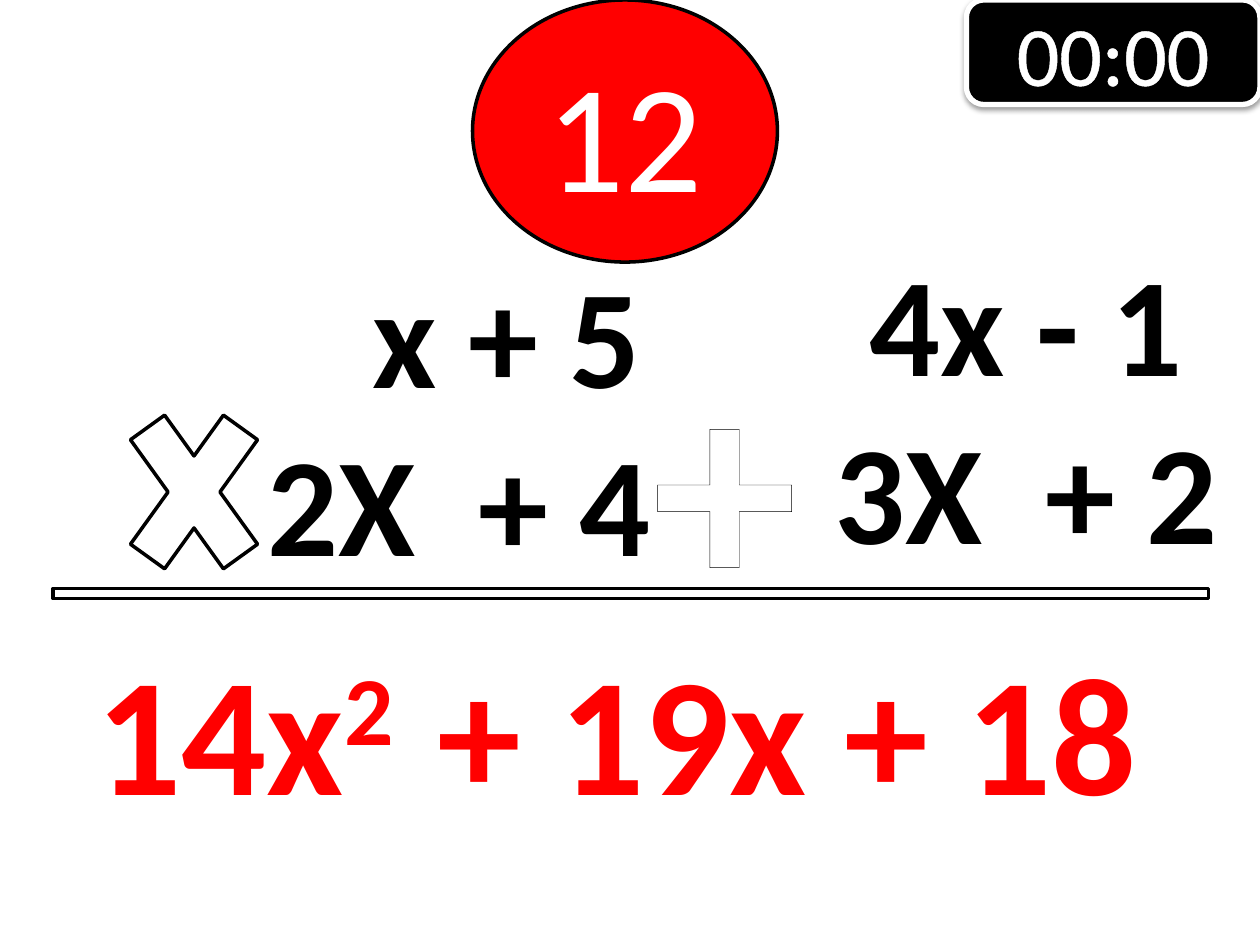
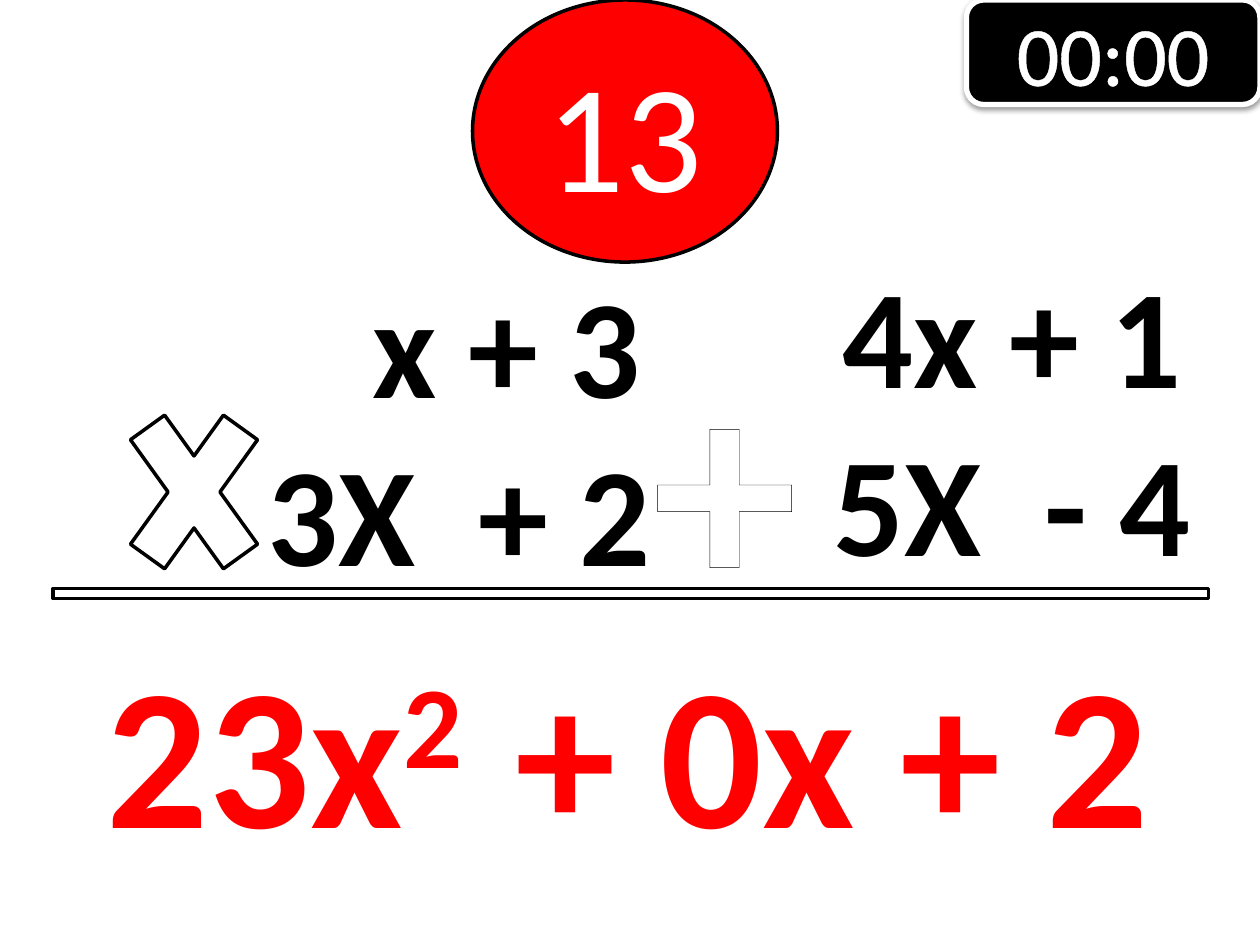
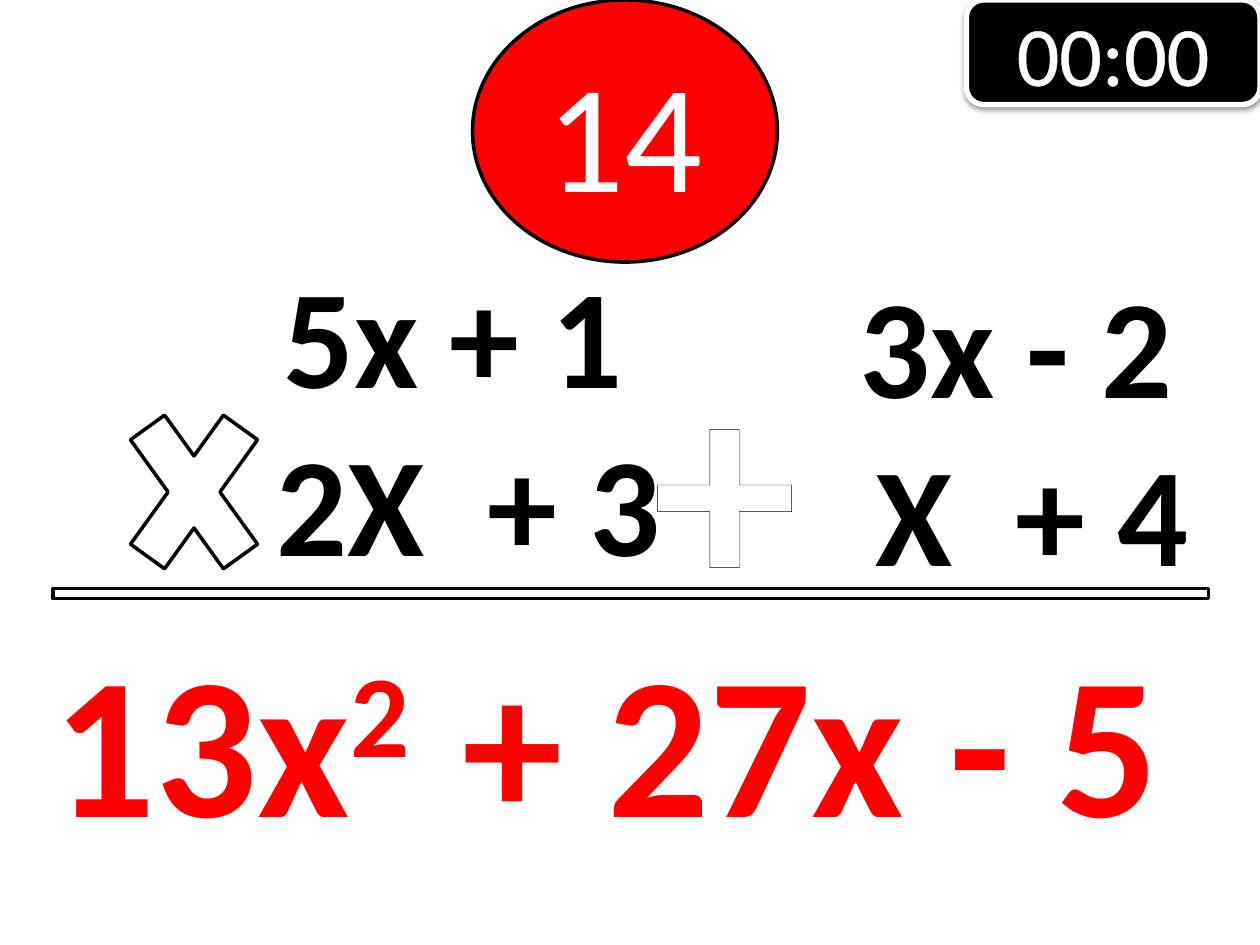
from dataclasses import dataclass

from lxml import etree
from pptx import Presentation
from pptx.dml.color import RGBColor
from pptx.enum import shapes, text
from pptx.oxml import ns
from pptx.util import Inches, Pt

BLACK, WHITE, RED = "000000", "FFFFFF", "FF0000"
FONT = "Calibri"
SPACE_WIDTH = 0.25
OUTLINE_WIDTH = Pt(1.45)


@dataclass(frozen=True)
class Box:
    left: float
    top: float
    width: float
    height: float

    def lengths(self) -> list:
        return [Inches(v) for v in (self.left, self.top, self.width, self.height)]


@dataclass(frozen=True)
class Style:
    size: float
    color: str
    bold: bool = False
    outline: str = ""


@dataclass(frozen=True)
class Figure:
    kind: shapes.MSO_SHAPE
    box: Box
    fill: str
    line: str
    line_width: float = 2


@dataclass(frozen=True)
class Factor:
    wording: str
    shift: int


@dataclass(frozen=True)
class Product:
    box: Box
    factors: tuple[Factor, Factor]


@dataclass(frozen=True)
class Answer:
    box: Box
    size: float
    square_term: str
    remainder: str


@dataclass(frozen=True)
class Problem:
    number: int
    first: Product
    second: Product
    answer: Answer


NUMBER_STYLE = Style(88, WHITE)
TIMER_STYLE = Style(48, WHITE, outline=WHITE)
FACTOR_STYLE = Style(80, BLACK, True, BLACK)
PLUS_STYLE = Style(166, WHITE, True, BLACK)

NUMBER_CIRCLE = Figure(shapes.MSO_SHAPE.OVAL, Box(3.75, 0, 2.42, 2.08), RED, BLACK)
TIMER = Figure(shapes.MSO_SHAPE.ROUNDED_RECTANGLE, Box(7.67, 0, 2.33, 0.83), BLACK, WHITE, 3)
SUM_BAR = Figure(shapes.MSO_SHAPE.RECTANGLE, Box(0.42, 4.67, 9.17, 0.08), WHITE, BLACK)
TIMES_SIGN = Figure(shapes.MSO_SHAPE.MATH_MULTIPLY, Box(0.83, 2.92, 1.42, 1.97), WHITE, BLACK)
PLUS_BOX = Box(5.08, 2.33, 1.33, 2.89)

PROBLEMS = [
    Problem(
        12,
        Product(Box(1.83, 1.92, 3.88, 2.79), (Factor("x + 5", 2), Factor("2X  + 4", -1))),
        Product(Box(6, 1.83, 3.79, 2.79), (Factor("4x - 1", 2), Factor("3X  + 2", 2))),
        Answer(Box(0.67, 4.92, 8.65, 1.72), 96, "14x", "+ 19x + 18"),
    ),
    Problem(
        13,
        Product(Box(1.83, 2, 3.88, 2.79), (Factor("x + 3", 2), Factor("3X  + 2", -1))),
        Product(Box(6, 1.92, 3.57, 2.79), (Factor("4x + 1", 2), Factor("5X  - 4", 2))),
        Answer(Box(0.75, 4.92, 8.69, 2.04), 115, "23x", "+ 0x + 2"),
    ),
    Problem(
        14,
        Product(Box(2.08, 1.92, 3.53, 2.79), (Factor("5x + 1", -2), Factor("2X  + 3", -1))),
        Product(Box(6.33, 2, 3.22, 2.79), (Factor("3x - 2", 1), Factor("X  + 4", 2))),
        Answer(Box(0.33, 4.83, 9.19, 2.04), 115, "13x", "+ 27x - 5"),
    ),
]


def rgb(color: str) -> RGBColor:
    return RGBColor.from_string(color)


def add_child(parent, tag: str, **attributes):
    child = etree.SubElement(parent, ns.qn(tag))
    for key, value in attributes.items():
        child.set(key, str(value))
    return child


def add_run(paragraph, wording: str, style: Style, baseline: int = 0) -> None:
    run = paragraph.add_run()
    run.text = wording
    run.font.name = FONT
    run.font.size = Pt(style.size)
    run.font.bold = style.bold
    run.font.color.rgb = rgb(style.color)
    properties = run._r.get_or_add_rPr()
    if baseline:
        properties.set("baseline", str(baseline * 1000))
    if style.outline:
        outline = add_child(properties, "a:ln", w=int(OUTLINE_WIDTH))
        add_child(add_child(outline, "a:solidFill"), "a:srgbClr", val=style.outline)
        properties.insert(0, outline)


def add_figure(slide, figure: Figure):
    drawn = slide.shapes.add_shape(figure.kind, *figure.box.lengths())
    drawn.shadow.inherit = False
    drawn.fill.solid()
    drawn.fill.fore_color.rgb = rgb(figure.fill)
    drawn.line.color.rgb = rgb(figure.line)
    drawn.line.width = Pt(figure.line_width)
    return drawn


def add_label(slide, figure: Figure, wording: str, style: Style):
    drawn = add_figure(slide, figure)
    drawn.text_frame.vertical_anchor = text.MSO_ANCHOR.MIDDLE
    paragraph = drawn.text_frame.paragraphs[0]
    paragraph.alignment = text.PP_ALIGN.CENTER
    add_run(paragraph, wording, style)
    return drawn


def add_timer(slide) -> None:
    timer = add_label(slide, TIMER, "00:00", TIMER_STYLE)
    effects = timer._element.spPr.find(ns.qn("a:effectLst"))
    shadow = add_child(effects, "a:outerShdw", blurRad=int(Pt(3.1)), dist=int(Pt(1.6)),
                       dir=90 * 60000, rotWithShape=0)
    add_child(add_child(shadow, "a:srgbClr", val=BLACK), "a:alpha", val=38000)


def add_frame(slide, box: Box, wrap: bool = True):
    frame = slide.shapes.add_textbox(*box.lengths()).text_frame
    frame.word_wrap = wrap
    frame.auto_size = text.MSO_AUTO_SIZE.SHAPE_TO_FIT_TEXT
    return frame


def add_product(slide, product: Product) -> None:
    frame = add_frame(slide, product.box)
    frame.margin_left = frame.margin_right = 0
    for index, factor in enumerate(product.factors):
        paragraph = frame.add_paragraph() if index else frame.paragraphs[0]
        paragraph.alignment = text.PP_ALIGN.CENTER
        side = "marL" if factor.shift > 0 else "marR"
        indent = Inches(abs(factor.shift) * SPACE_WIDTH)
        paragraph._p.get_or_add_pPr().set(side, str(int(indent)))
        add_run(paragraph, factor.wording, FACTOR_STYLE)


def add_plus(slide) -> None:
    paragraph = add_frame(slide, PLUS_BOX).paragraphs[0]
    paragraph.alignment = text.PP_ALIGN.CENTER
    add_run(paragraph, "+", PLUS_STYLE)


def add_answer(slide, answer: Answer) -> None:
    frame = add_frame(slide, answer.box, wrap=False)
    frame.vertical_anchor = text.MSO_ANCHOR.MIDDLE
    style = Style(answer.size, RED, True, RED)
    paragraph = frame.paragraphs[0]
    add_run(paragraph, answer.square_term, style)
    add_run(paragraph, "2  ", style, baseline=30)
    add_run(paragraph, answer.remainder, style)


def add_problem(deck, problem: Problem) -> None:
    slide = deck.slides.add_slide(deck.slide_layouts[6])
    add_label(slide, NUMBER_CIRCLE, str(problem.number), NUMBER_STYLE)
    add_timer(slide)
    add_product(slide, problem.first)
    add_figure(slide, SUM_BAR)
    add_figure(slide, TIMES_SIGN)
    add_plus(slide)
    add_product(slide, problem.second)
    add_answer(slide, problem.answer)


def main() -> None:
    deck = Presentation()
    deck.slide_width, deck.slide_height = Inches(10), Inches(7.5)
    for problem in PROBLEMS:
        add_problem(deck, problem)
    deck.save("out.pptx")


if __name__ == "__main__":
    main()
